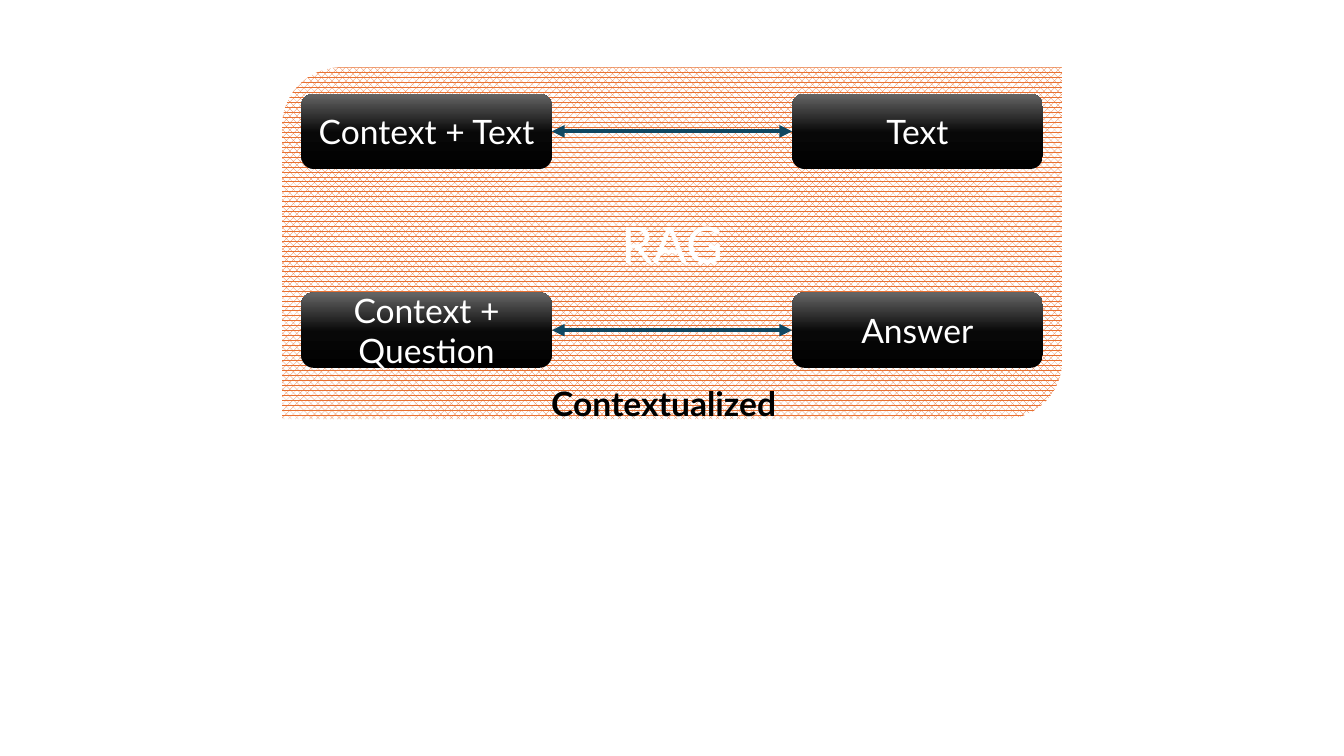
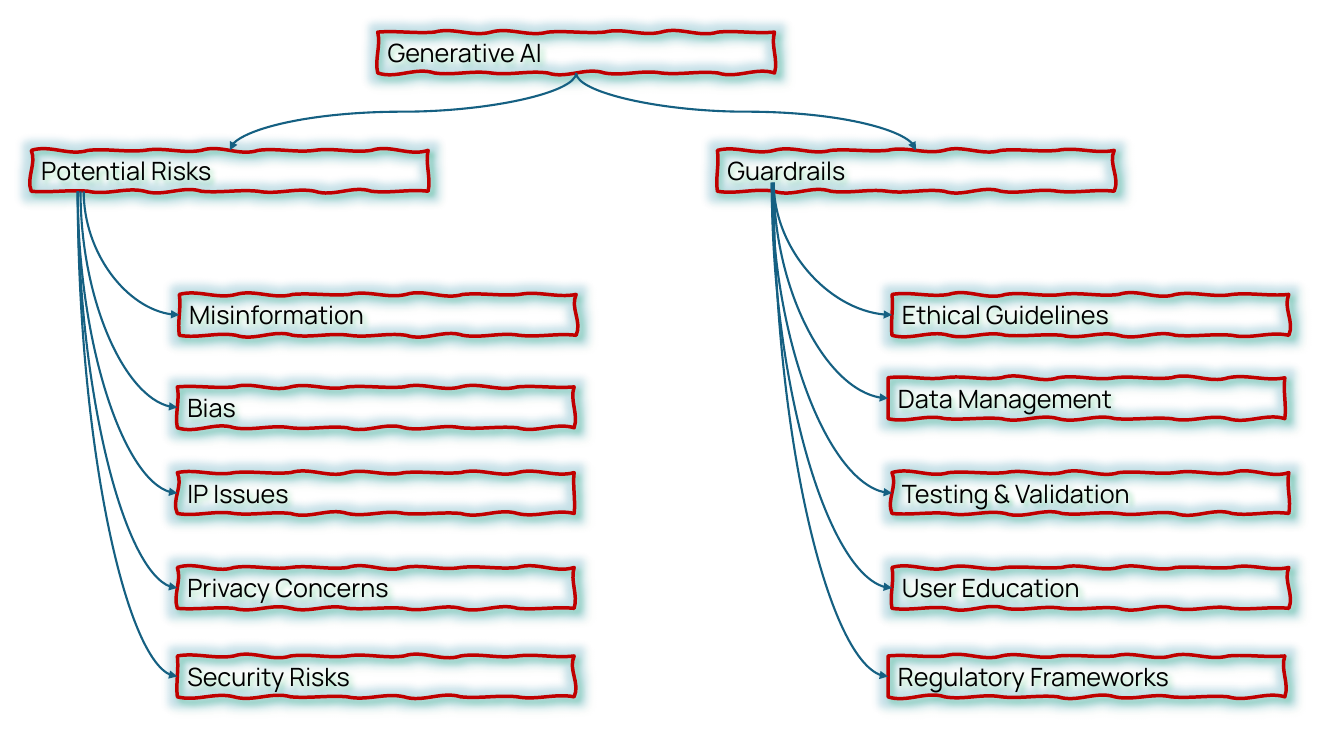
import math

import pptx
import pptx.dml.color
import pptx.enum.dml
import pptx.enum.shapes
import pptx.enum.text
import pptx.oxml
import pptx.oxml.ns
import pptx.util
from lxml import etree

Cm = pptx.util.Cm
Pt = pptx.util.Pt
SHAPE = pptx.enum.shapes.MSO_SHAPE
CONNECTOR = pptx.enum.shapes.MSO_CONNECTOR
qn = pptx.oxml.ns.qn

WHITE, BLACK = "FFFFFF", "000000"
ORANGE, RED, GREEN = "E97132", "C00000", "00B050"
BLUE, DARK_BLUE, GLOW_BLUE = "156082", "104862", "0A78A6"
PILL_STOPS = [(0, BLACK), (48, "080808"), (100, "666666")]

NODE_WIDTH, NODE_HEIGHT = 10, 1.03
WAVES = 7
RISKS = [
    ("Misinformation", 3.73, 3.63, 1.32),
    ("Bias", 3.68, 5.96, 1.24),
    ("IP Issues", 3.68, 8.12, 1.17),
    ("Privacy Concerns", 3.68, 10.51, 1.17),
    ("Security Risks", 3.68, 12.74, 1.17),
]
GUARDRAILS = [
    ("Ethical Guidelines", 4.4, 3.63, 1.42),
    ("Data Management", 4.3, 5.73, 1.42),
    ("Testing & Validation", 4.4, 8.12, 1.37),
    ("User Education", 4.4, 10.51, 1.37),
    ("Regulatory Frameworks", 4.3, 12.74, 1.42),
]


def rgb(value):
    """Turn a hex string into a colour."""
    return pptx.dml.color.RGBColor.from_string(value)


def add_child(parent, tag, **attributes):
    """Append a drawing element and return it."""
    child = etree.SubElement(parent, qn(tag))
    for name, value in attributes.items():
        child.set(name, str(value))
    return child


def write_text(shape, text, font, size, color, bold=False, centred=True):
    """Set one line of text and format it."""
    frame = shape.text_frame
    frame.word_wrap = True
    frame.vertical_anchor = pptx.enum.text.MSO_ANCHOR.MIDDLE
    frame.text = text
    paragraph = frame.paragraphs[0]
    alignment = pptx.enum.text.PP_ALIGN
    paragraph.alignment = alignment.CENTER if centred else alignment.LEFT
    run_font = paragraph.runs[0].font
    run_font.name, run_font.size, run_font.bold = font, Pt(size), bold
    run_font.color.rgb = rgb(color)


def style_connector(connector, color, width, ends):
    """Colour a connector, add its arrowheads and drop its shadow."""
    connector.line.color.rgb = rgb(color)
    connector.line.width = Pt(width)
    line = connector.line._get_or_add_ln()
    for end in ends:
        add_child(line, end, type="triangle")
    add_child(connector._element.spPr, "a:effectLst")


def add_plain_shape(slide, kind, left, top, width, height):
    """Add a preset shape without outline or shadow."""
    shape = slide.shapes.add_shape(kind, Cm(left), Cm(top), Cm(width), Cm(height))
    shape.shadow.inherit = False
    shape.line.fill.background()
    return shape


def add_pill(slide, left, top, text):
    """Add a black gradient box with white text."""
    pill = add_plain_shape(slide, SHAPE.ROUNDED_RECTANGLE, left, top, 6.32, 1.9)
    pill.fill.gradient()
    pill.fill.gradient_angle = 90
    stops = pill._element.spPr.find(".//" + qn("a:gsLst"))
    for stop in list(stops):
        stops.remove(stop)
    for position, color in PILL_STOPS:
        stop = add_child(stops, "a:gs", pos=position * 1000)
        add_child(stop, "a:srgbClr", val=color)
    write_text(pill, text, "Lato", 24, WHITE)
    return pill


def add_pair(slide, left, top, texts):
    """Add two pills joined by a double arrow."""
    first, second = (
        add_pill(slide, left + index * 12.37, top, text)
        for index, text in enumerate(texts)
    )
    arrow = slide.shapes.add_connector(CONNECTOR.STRAIGHT, 0, 0, 0, 0)
    arrow.begin_connect(first, 3)
    arrow.end_connect(second, 1)
    style_connector(arrow, DARK_BLUE, 3, ["a:headEnd", "a:tailEnd"])


def add_rag_panel(slide, left, top):
    """Add the patterned panel with its pairs and caption."""
    panel = add_plain_shape(
        slide, SHAPE.ROUND_2_DIAG_RECTANGLE, left, top, 19.66, 8.86
    )
    panel.fill.patterned()
    panel.fill.pattern = pptx.enum.dml.MSO_PATTERN.PERCENT_70
    panel.fill.fore_color.rgb = rgb(ORANGE)
    panel.fill.back_color.rgb = rgb(WHITE)
    write_text(panel, "RAG", "Lato", 36, WHITE)
    add_pair(slide, left + 0.48, top + 0.66, ["Context + Text", "Text"])
    add_pair(slide, left + 0.48, top + 5.67, ["Context + Question", "Answer"])
    caption = slide.shapes.add_textbox(
        Cm(left + 6.53), Cm(top + 7.82), Cm(6.58), Cm(1.27)
    )
    write_text(caption, "Contextualized", "Lato", 24, BLACK, True, False)


def node_corners(left, top):
    """Return the wave ends around a box, clockwise."""
    right, bottom = left + NODE_WIDTH, top + NODE_HEIGHT
    offsets = [NODE_WIDTH * step / WAVES for step in range(WAVES + 1)]
    points = [(left + offset, top) for offset in offsets]
    points += [(right - offset, bottom) for offset in offsets]
    return [(Cm(x), Cm(y)) for x, y in points]


def bend_outline(node, phase):
    """Turn the straight segments of an outline into waves."""
    outline = node._element.spPr.find(".//" + qn("a:path"))
    start = outline.find(".//" + qn("a:pt"))
    x1, y1 = int(start.get("x")), int(start.get("y"))
    for index, segment in enumerate(outline.findall(qn("a:lnTo"))):
        end = segment.find(qn("a:pt"))
        x2, y2 = int(end.get("x")), int(end.get("y"))
        swing = Cm(0.1 + 0.06 * math.sin(phase + 2 * index))
        across, down = (swing, 0) if x1 == x2 else (0, swing)
        third_x, third_y = (x2 - x1) / 3, (y2 - y1) / 3
        curve = etree.Element(qn("a:cubicBezTo"))
        for x, y in [
            (x1 + third_x - across, y1 + third_y - down),
            (x2 - third_x + across, y2 - third_y + down),
            (x2, y2),
        ]:
            add_child(curve, "a:pt", x=round(x), y=round(y))
        outline.replace(segment, curve)
        x1, y1 = x2, y2


def add_effect_color(effect, color, opacity):
    """Give an effect a translucent colour."""
    element = add_child(effect, "a:srgbClr", val=color)
    add_child(element, "a:alpha", val=opacity * 1000)


def add_node(slide, left, top, text):
    """Add a glowing hand-drawn box with its label."""
    points = node_corners(left, top)
    builder = slide.shapes.build_freeform(*points[0], scale=1.0)
    builder.add_line_segments(points[1:] + points[:1], close=True)
    node = builder.convert_to_shape()
    bend_outline(node, left + 2 * top)
    node.fill.background()
    node.line.color.rgb = rgb(RED)
    node.line.width = Pt(2.5)
    node.shadow.inherit = False
    effects = node._element.spPr.find(qn("a:effectLst"))
    glow = add_child(effects, "a:glow", rad=Pt(11))
    add_effect_color(glow, GLOW_BLUE, 20)
    shadow = add_child(
        effects, "a:outerShdw", blurRad=Pt(4), dist=Pt(3), dir=45 * 60000
    )
    add_effect_color(shadow, GREEN, 40)
    write_text(node, text, "Manrope", 18, BLACK, centred=False)


def add_curve(slide, start, end, preset):
    """Add a curved arrow that leaves its start downwards."""
    (x1, y1), (x2, y2) = start, end
    rightward = x2 > x1
    half_width, half_height = (y2 - y1) / 2, abs(x2 - x1) / 2
    middle_x, middle_y = (x1 + x2) / 2, (y1 + y2) / 2
    reach = half_width if rightward else -half_width
    curve = slide.shapes.add_connector(
        CONNECTOR.CURVE,
        Cm(middle_x + reach),
        Cm(middle_y - half_height),
        Cm(middle_x - reach),
        Cm(middle_y + half_height),
    )
    properties = curve._element.spPr
    properties.find(qn("a:xfrm")).set("rot", str((270 if rightward else 90) * 60000))
    properties.find(qn("a:prstGeom")).set("prst", preset)
    style_connector(curve, BLUE, 1.5, ["a:tailEnd"])


def add_branch(slide, left, top, heading, items, start_drop, root):
    """Add a heading under the root with its items and arrows."""
    add_node(slide, left, top, heading)
    for text, indent, drop, _ in items:
        add_node(slide, left + indent, top + drop, text)
    add_curve(slide, root, (left + NODE_WIDTH / 2, top), "curvedConnector3")
    for _, indent, drop, stem in items:
        start = (left + stem, top + start_drop)
        end = (left + indent, top + drop + NODE_HEIGHT / 2)
        add_curve(slide, start, end, "curvedConnector2")


def add_risk_tree(slide, left, top):
    """Add the root with its two branches."""
    add_node(slide, left, top, "Generative AI")
    root = (left + NODE_WIDTH / 2, top + NODE_HEIGHT)
    branch_top = top + 2.98
    add_branch(
        slide, left - 8.73, branch_top, "Potential Risks", RISKS, NODE_HEIGHT, root
    )
    add_branch(slide, left + 8.56, branch_top, "Guardrails", GUARDRAILS, 0.81, root)


def main():
    """Build and save the presentation."""
    presentation = pptx.Presentation()
    presentation.slide_width = Cm(33.87)
    presentation.slide_height = Cm(19.05)
    blank = presentation.slide_layouts[6]
    add_rag_panel(presentation.slides.add_slide(blank), 7.11, 1.7)
    add_risk_tree(presentation.slides.add_slide(blank), 9.52, 0.81)
    presentation.save("out.pptx")


if __name__ == "__main__":
    main()
